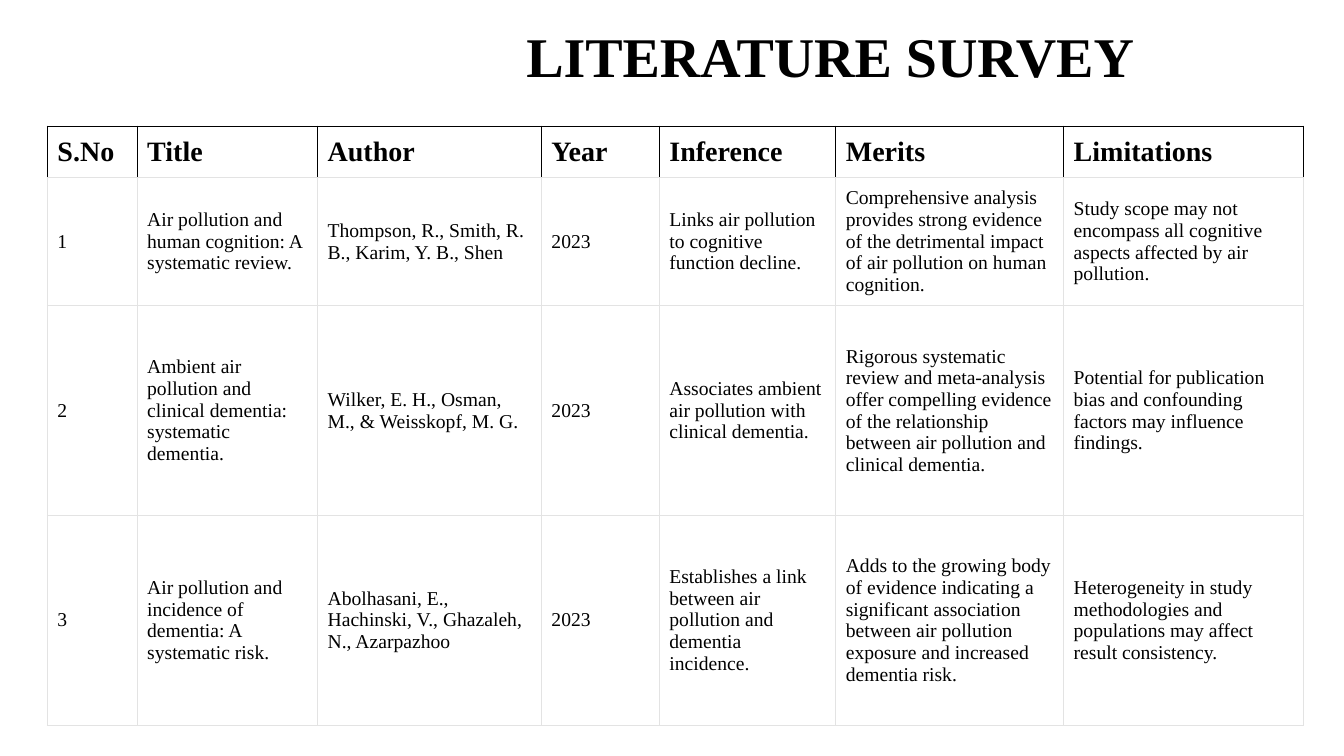
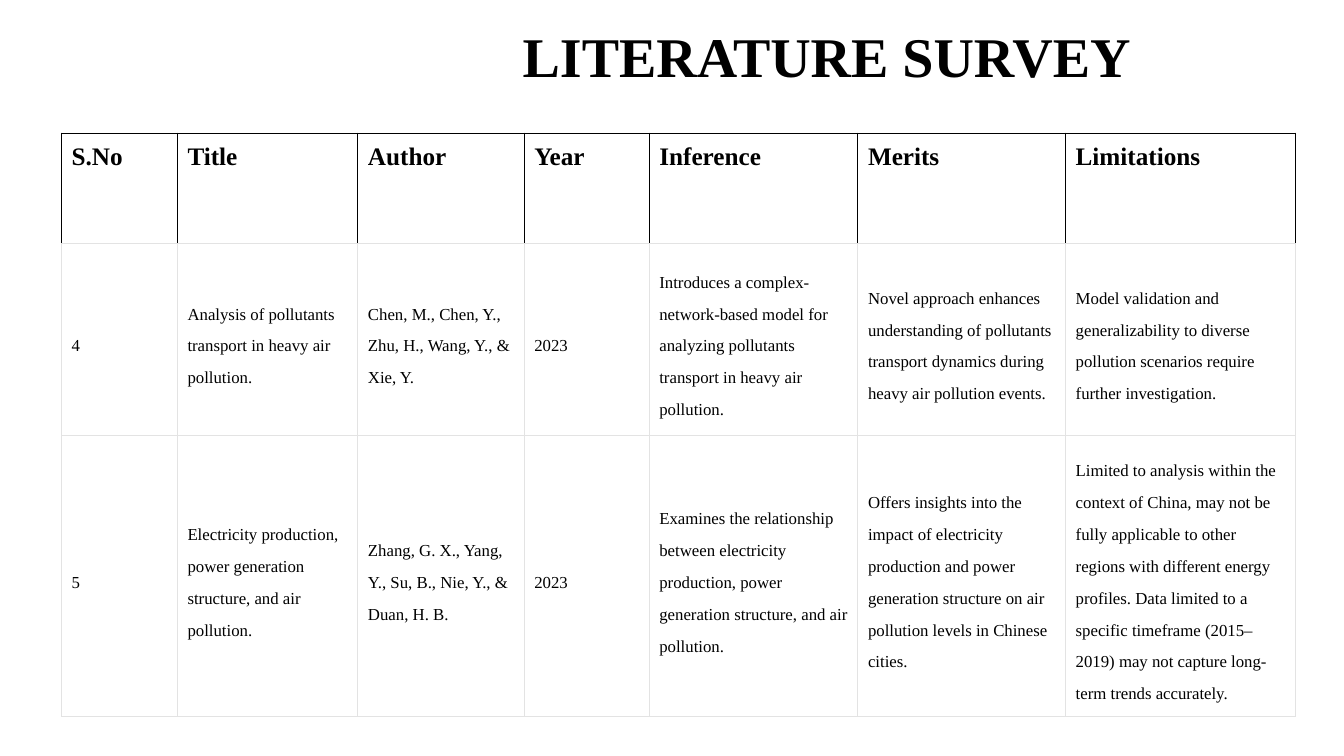
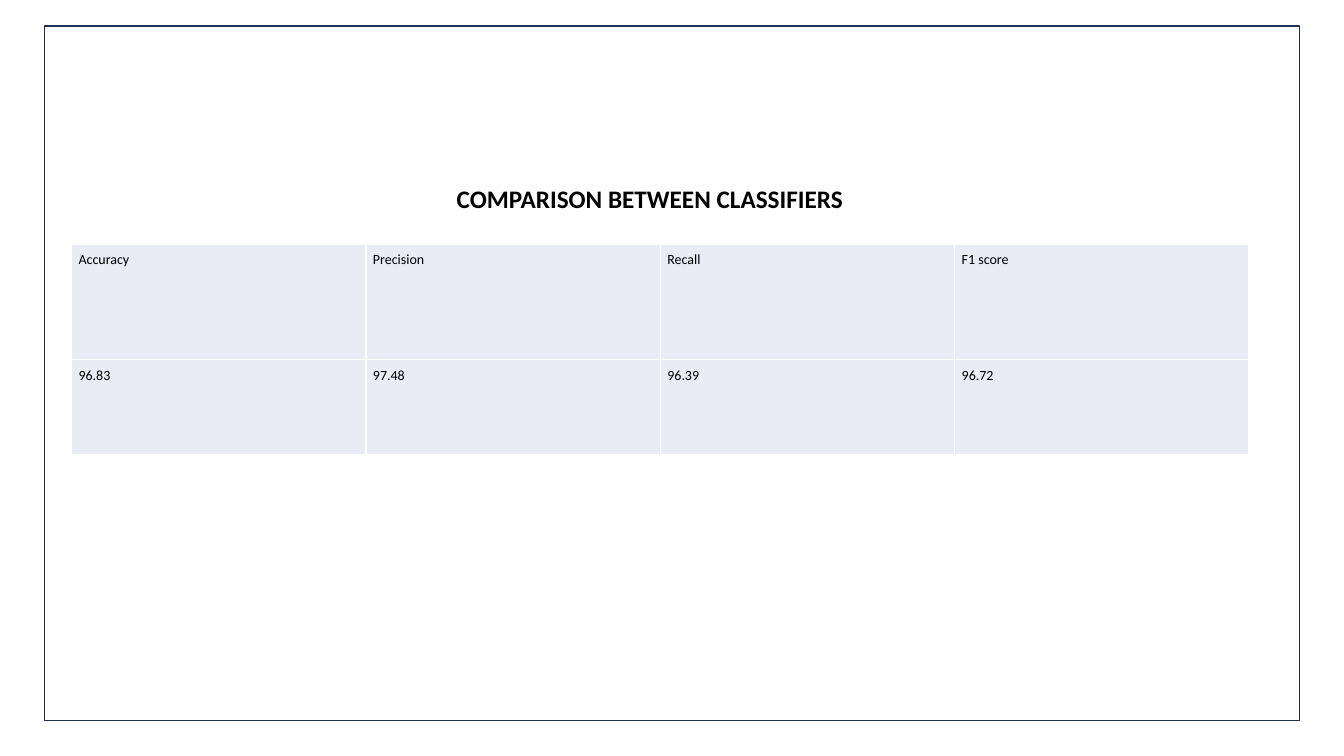
"""Builds two literature survey tables and a classifier comparison."""
import pptx
import pptx.dml.color
import pptx.enum.shapes
import pptx.enum.text
import pptx.oxml
import pptx.oxml.ns
import pptx.util

Inches = pptx.util.Inches
Pt = pptx.util.Pt
RGBColor = pptx.dml.color.RGBColor
ALIGN = pptx.enum.text.PP_ALIGN
ANCHOR = pptx.enum.text.MSO_ANCHOR

BLACK = RGBColor(0x00, 0x00, 0x00)
WHITE = RGBColor(0xFF, 0xFF, 0xFF)
GREY = RGBColor(0xE3, 0xE3, 0xE3)
NAVY = RGBColor(0x1E, 0x32, 0x56)
PALE_BLUE = RGBColor(0xE9, 0xEB, 0xF5)
SERIF, SANS = "Times New Roman", "Calibri"

HEADINGS = ("S.No", "Title", "Author", "Year", "Inference", "Merits", "Limitations")
SURVEYS = [
    {
        "title": "LITERATURE SURVEY",
        "title_box": (4.43, 0, 7.61, 1),
        "corner": (0.47, 1.25),
        "columns": (0.89, 1.79, 2.22, 1.17, 1.75, 2.26, 2.38),
        "rows": (0.49, 1.27, 2.08, 2.08),
        "heading_size": 20,
        "body_size": 14,
        "body_spacing": 1.0,
        "papers": [
            ("1", "Air pollution and human cognition: A systematic review.",
             "Thompson, R., Smith, R. B., Karim, Y. B., Shen", "2023",
             "Links air pollution to cognitive function decline.",
             "Comprehensive analysis provides strong evidence of the detrimental impact "
             "of air pollution on human cognition.",
             "Study scope may not encompass all cognitive aspects affected by air pollution."),
            ("2", "Ambient air pollution and clinical dementia: systematic dementia.",
             "Wilker, E. H., Osman, M., & Weisskopf, M. G.", "2023",
             "Associates ambient air pollution with clinical dementia.",
             "Rigorous systematic review and meta-analysis offer compelling evidence of the "
             "relationship between air pollution and clinical dementia.",
             "Potential for publication bias and confounding factors may influence findings."),
            ("3", "Air pollution and incidence of dementia: A systematic risk.",
             "Abolhasani, E., Hachinski, V., Ghazaleh, N., Azarpazhoo", "2023",
             "Establishes a link between air pollution and dementia incidence.",
             "Adds to the growing body of evidence indicating a significant association "
             "between air pollution exposure and increased dementia risk.",
             "Heterogeneity in study methodologies and populations may affect result "
             "consistency."),
        ],
    },
    {
        "title": " LITERATURE SURVEY",
        "title_box": (4.22, 0, 7.82, 1.19),
        "corner": (0.61, 1.32),
        "columns": (1.15, 1.79, 1.65, 1.24, 2.07, 2.06, 2.28),
        "rows": (1.1, 1.9, 2.79),
        "heading_size": 18,
        "body_size": 12,
        "body_spacing": 1.71,
        "papers": [
            ("4", "Analysis of pollutants transport in heavy air pollution.",
             "Chen, M., Chen, Y., Zhu, H., Wang, Y., & Xie, Y.", "2023",
             "Introduces a complex-network-based model for analyzing pollutants transport "
             "in heavy air pollution.",
             "Novel approach enhances understanding of pollutants transport dynamics during "
             "heavy air pollution events.",
             "Model validation and generalizability to diverse pollution scenarios require "
             "further investigation."),
            ("5", "Electricity production, power generation structure, and air pollution.",
             "Zhang, G. X., Yang, Y., Su, B., Nie, Y., & Duan, H. B.", "2023",
             "Examines the relationship between electricity production, power generation "
             "structure, and air pollution.",
             "Offers insights into the impact of electricity production and power generation "
             "structure on air pollution levels in Chinese cities.",
             "Limited to analysis within the context of China, may not be fully applicable to "
             "other regions with different energy profiles. Data limited to a specific "
             "timeframe (2015–2019) may not capture long-term trends accurately."),
        ],
    },
]
SCORES = [
    ("Accuracy", "Precision", "Recall", "F1 score"),
    ("96.83", "97.48", "96.39", "96.72"),
]


def write(frame, text, size, font=SERIF, bold=False, align=ALIGN.LEFT, spacing=1.0):
    """Fill a text frame with one formatted paragraph."""
    paragraph = frame.paragraphs[0]
    paragraph.alignment = align
    paragraph.line_spacing = spacing
    run = paragraph.add_run()
    run.text = text
    run.font.size = Pt(size)
    run.font.name = font
    run.font.bold = bold
    run.font.color.rgb = BLACK


def add_title(slide, text, box, margins, wrap=True, **style):
    """Move the title placeholder to its box and write it."""
    title = slide.shapes.title
    title.left, title.top, title.width, title.height = map(Inches, box)
    frame = title.text_frame
    frame.auto_size = pptx.enum.text.MSO_AUTO_SIZE.NONE
    frame.vertical_anchor = ANCHOR.TOP
    frame.word_wrap = wrap
    frame.margin_left = frame.margin_right = Inches(margins[0])
    frame.margin_top = frame.margin_bottom = Inches(margins[1])
    write(frame, text, bold=True, **style)


def set_borders(cell, width, sides):
    """Draw the cell's edges in the colours given for L, R, T and B."""
    properties = cell._tc.get_or_add_tcPr()
    for position, (side, color) in enumerate(zip("LRTB", sides)):
        edge = pptx.oxml.parse_xml(
            f'<a:ln{side} {pptx.oxml.ns.nsdecls("a")} w="{Pt(width)}"><a:solidFill>'
            f'<a:srgbClr val="{color}"/></a:solidFill></a:ln{side}>')
        properties.insert(position, edge)


def add_grid(slide, corner, columns, rows, content, margin, format_cell):
    """Add a plain table and let format_cell style each cell."""
    size = (sum(columns), sum(rows))
    grid = slide.shapes.add_table(
        len(rows), len(columns), *map(Inches, corner + size)).table
    grid.first_row = grid.horz_banding = False
    for column, width in zip(grid.columns, columns):
        column.width = Inches(width)
    for row, height in zip(grid.rows, rows):
        row.height = Inches(height)
    for r, texts in enumerate(content):
        for c, text in enumerate(texts):
            cell = grid.cell(r, c)
            cell.margin_left = cell.margin_right = Inches(margin)
            cell.margin_top = cell.margin_bottom = Inches(margin)
            format_cell(cell, r, text)


def add_survey(slide, survey):
    """Build one literature survey slide."""
    def format_cell(cell, row, text):
        cell.fill.background()
        if row == 0:
            set_borders(cell, 0.75, (BLACK, BLACK, BLACK, GREY))
            write(cell.text_frame, text, survey["heading_size"], bold=True)
        else:
            set_borders(cell, 0.75, (GREY,) * 4)
            cell.vertical_anchor = ANCHOR.MIDDLE
            write(cell.text_frame, text, survey["body_size"],
                  spacing=survey["body_spacing"])

    add_title(slide, survey["title"], survey["title_box"], (0.13, 0.13),
              size=40, align=ALIGN.CENTER, spacing=1.12)
    add_grid(slide, survey["corner"], survey["columns"], survey["rows"],
             [HEADINGS] + survey["papers"], 0.1, format_cell)


def add_comparison(slide):
    """Build the framed classifier comparison slide."""
    def format_cell(cell, row, text):
        cell.fill.solid()
        cell.fill.fore_color.rgb = PALE_BLUE
        set_borders(cell, 1, (WHITE,) * 4)
        write(cell.text_frame, text, 10, font=SANS)

    border = slide.shapes.add_shape(
        pptx.enum.shapes.MSO_SHAPE.RECTANGLE, *map(Inches, (0.44, 0.26, 12.45, 6.89)))
    border.shadow.inherit = False
    border.fill.background()
    border.line.color.rgb = NAVY
    border.line.width = Pt(1)
    add_title(slide, "COMPARISON BETWEEN CLASSIFIERS", (4.43, 1.77, 4.07, 0.4),
              (0.1, 0.05), wrap=False, size=18, font=SANS)
    add_grid(slide, (0.71, 2.42), (2.92,) * 4, (1.15, 0.94), SCORES, 0.07, format_cell)


def main():
    """Assemble and save the presentation."""
    deck = pptx.Presentation()
    deck.slide_width, deck.slide_height = Inches(13.33), Inches(7.5)
    title_only = deck.slide_layouts[5]
    for survey in SURVEYS:
        add_survey(deck.slides.add_slide(title_only), survey)
    add_comparison(deck.slides.add_slide(title_only))
    deck.save("out.pptx")


if __name__ == "__main__":
    main()
